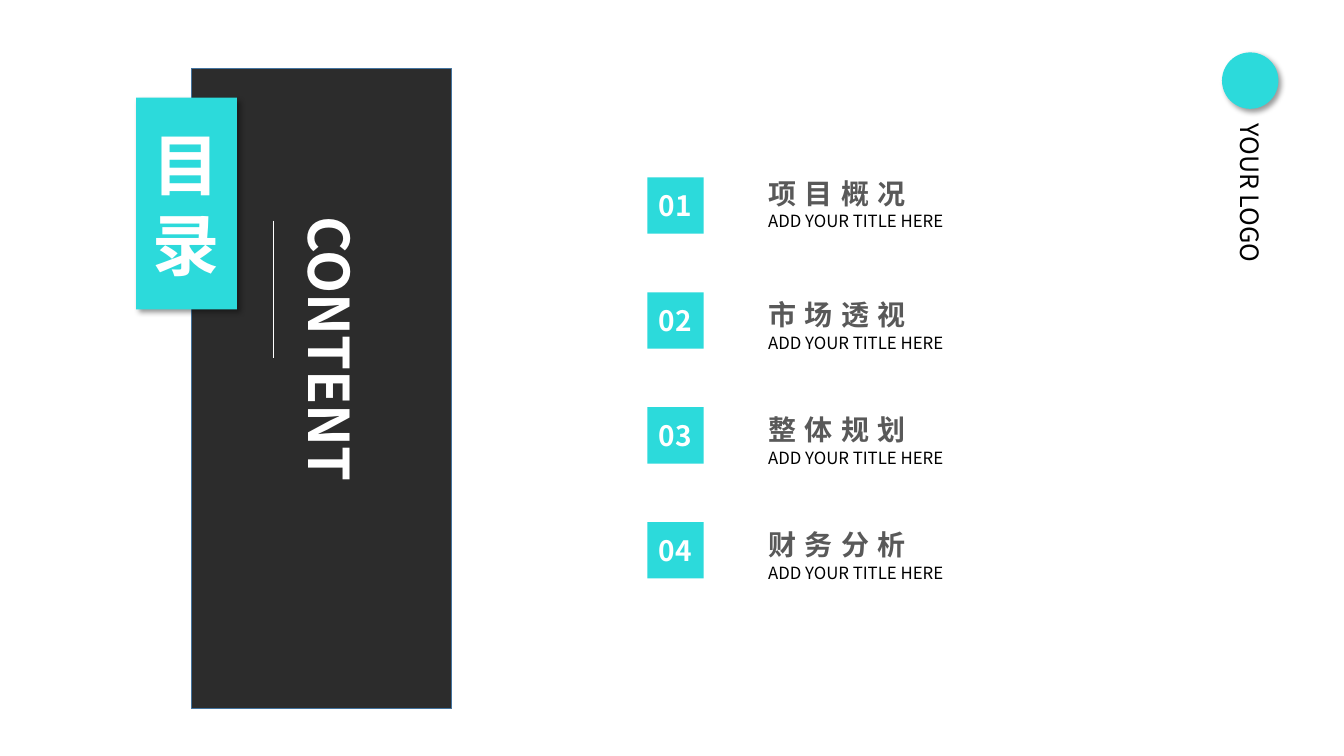
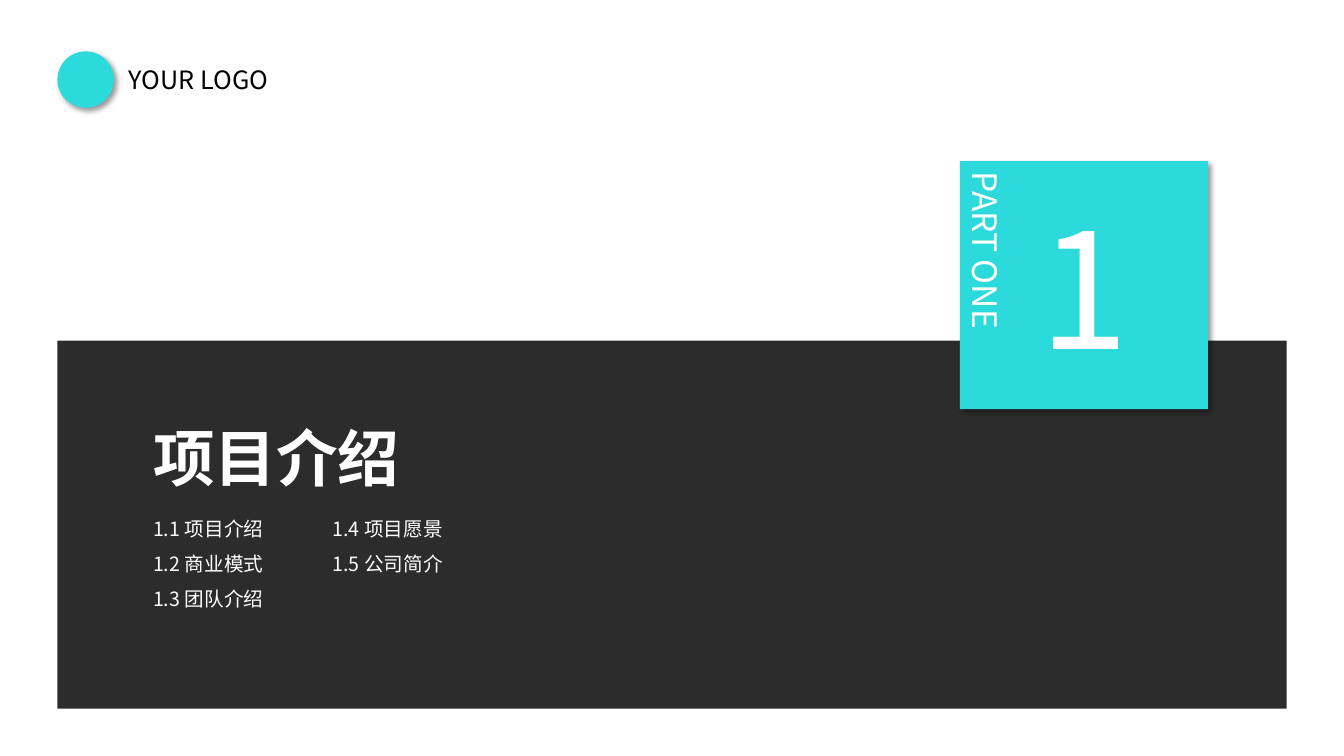
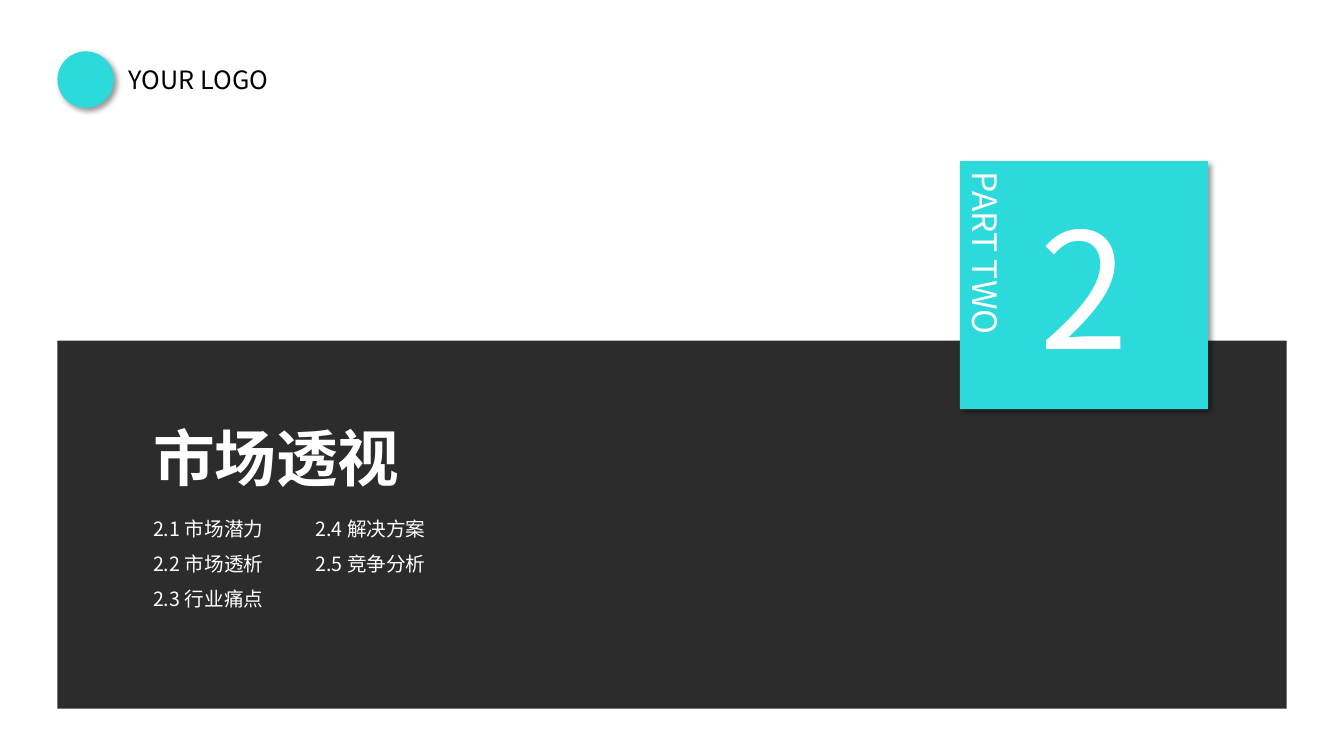
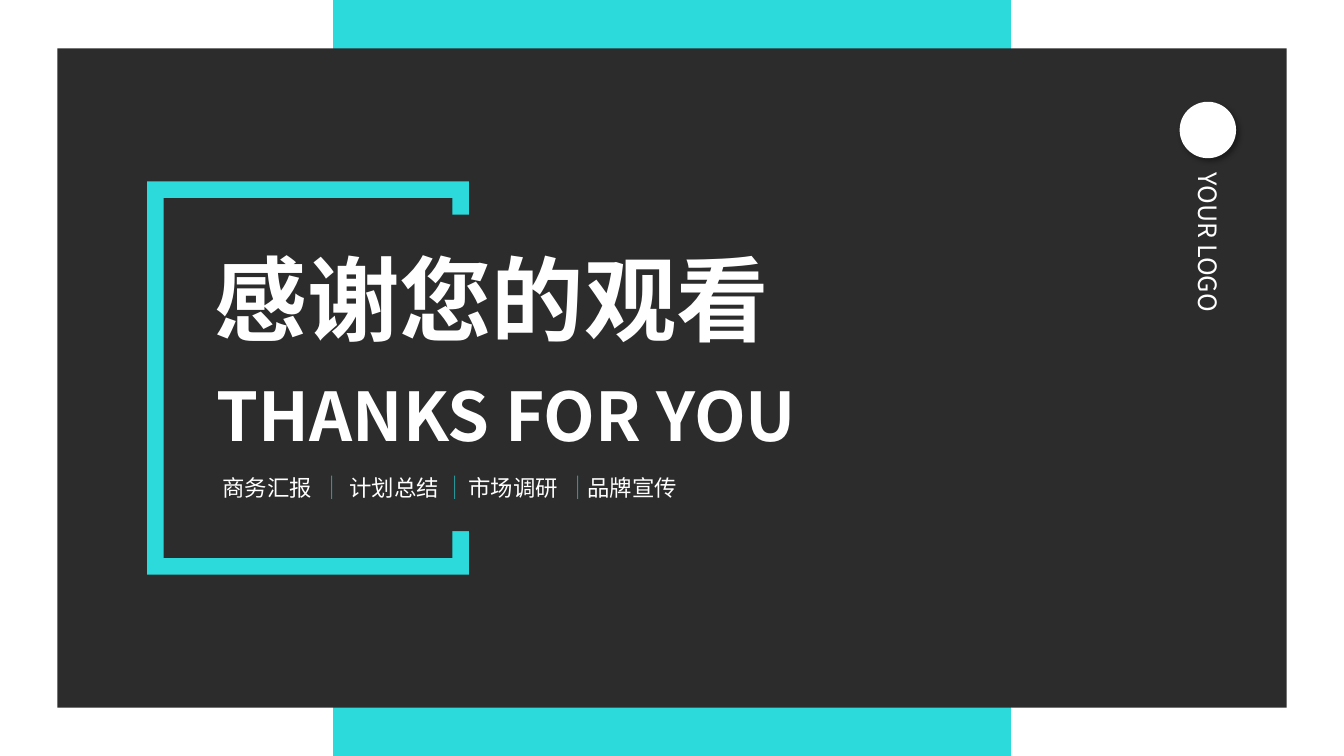
import dataclasses
import typing

import lxml.etree
import pptx
import pptx.dml.color
import pptx.enum.shapes
import pptx.enum.text
import pptx.oxml.ns
import pptx.shapes.autoshape
import pptx.slide
import pptx.text.text
import pptx.util

PX = 9144
FONT = "Noto Sans CJK SC"
TEAL = "2CDADB"
DARK = "2C2C2C"
WHITE = "FFFFFF"
BLACK = "000000"
GRAY = "595959"
BLUE = "43739E"
KIND = pptx.enum.shapes.MSO_SHAPE
FIT = pptx.enum.text.MSO_AUTO_SIZE.SHAPE_TO_FIT_TEXT


@dataclasses.dataclass(frozen=True)
class Box:
    left: int
    top: int
    width: int
    height: int

    def emu(self) -> list[int]:
        return [n * PX for n in dataclasses.astuple(self)]


@dataclasses.dataclass(frozen=True)
class Style:
    size: int
    color: str = WHITE
    bold: bool = False
    gap: int = 0


@dataclasses.dataclass(frozen=True)
class Row:
    mark: str
    title: str
    top: int
    drop: int


@dataclasses.dataclass(frozen=True)
class Part:
    digit: str
    label: str
    title: str
    first: list[str]
    second: list[str]
    left: int


HEAD = Style(44, bold=True)
LIST = Style(14)
ROWS = [
    Row("01", "项目概况", 170, 34),
    Row("02", "市场透视", 290, 35),
    Row("03", "整体规划", 404, 35),
    Row("04", "财务分析", 518, 35),
]
PARTS = [
    Part("1", "PART ONE", "项目介绍", ["1.1 项目介绍", "1.2 商业模式", "1.3 团队介绍"],
         ["1.4 项目愿景", "1.5 公司简介"], 320),
    Part("2", "PART TWO", "市场透视", ["2.1 市场潜力", "2.2 市场透析", "2.3 行业痛点"],
         ["2.4 解决方案", "2.5 竞争分析"], 303),
]
TOPICS = [("商务汇报", 211), ("计划总结", 337), ("市场调研", 455), ("品牌宣传", 573)]


def paint(code: str) -> pptx.dml.color.RGBColor:
    return pptx.dml.color.RGBColor.from_string(code)


def node(root: typing.Any, tag: str, **attrs: str) -> typing.Any:
    return lxml.etree.SubElement(root, pptx.oxml.ns.qn(tag), attrs)


def write(frame: pptx.text.text.TextFrame, lines: list[str], style: Style,
          center: bool = False, space: float | None = None) -> None:
    for i, line in enumerate(lines):
        para = frame.add_paragraph() if i else frame.paragraphs[0]
        align = pptx.enum.text.PP_ALIGN
        para.alignment = align.CENTER if center else align.LEFT
        if space:
            para.line_spacing = space
        run = para.add_run()
        run.text = line
        font = run.font
        font.name = FONT
        font.size = pptx.util.Pt(style.size)
        font.bold = style.bold
        font.color.rgb = paint(style.color)
        props = run._r.get_or_add_rPr()
        node(props, "a:ea", typeface=FONT)
        if style.gap:
            props.set("spc", str(style.gap * 100))


def block(slide: pptx.slide.Slide, box: Box, fill: str, kind: KIND = KIND.RECTANGLE,
          edge: str | None = None, shade: bool = False) -> pptx.shapes.autoshape.Shape:
    shape = slide.shapes.add_shape(kind, *box.emu())
    shape.fill.solid()
    shape.fill.fore_color.rgb = paint(fill)
    if edge:
        shape.line.color.rgb = paint(edge)
        shape.line.width = pptx.util.Pt(1)
    else:
        shape.line.fill.background()
    shape.shadow.inherit = False
    if shade:
        glow = node(shape._element.spPr.find(pptx.oxml.ns.qn("a:effectLst")), "a:outerShdw",
                    blurRad="50800", dist="38100", dir="2700000", algn="tl", rotWithShape="0")
        node(node(glow, "a:srgbClr", val=BLACK), "a:alpha", val="40000")
    return shape


def badge(slide: pptx.slide.Slide, box: Box, lines: list[str], style: Style,
          shade: bool = False) -> None:
    frame = block(slide, box, TEAL, shade=shade).text_frame
    frame.word_wrap = True
    frame.vertical_anchor = pptx.enum.text.MSO_ANCHOR.MIDDLE
    write(frame, lines, style, center=True)


def label(slide: pptx.slide.Slide, box: Box, lines: list[str], style: Style, turn: int = 0,
          wrap: bool = True, space: float | None = None, flush: bool = False) -> None:
    shape = slide.shapes.add_textbox(*box.emu())
    shape.rotation = turn
    frame = shape.text_frame
    frame.word_wrap = wrap
    frame.auto_size = FIT
    if flush:
        frame.margin_left = frame.margin_right = 0
        frame.margin_top = frame.margin_bottom = 0
    write(frame, lines, style, space=space)


def rule(slide: pptx.slide.Slide, left: int, top: int, end: int, color: str,
         width: float, alpha: int = 100) -> None:
    ends = [n * PX for n in (left, top, left, end)]
    line = slide.shapes.add_connector(pptx.enum.shapes.MSO_CONNECTOR.STRAIGHT, *ends)
    line.line.color.rgb = paint(color)
    line.line.width = pptx.util.Pt(width)
    props = line._element.spPr
    if alpha < 100:
        tint = props.find(".//" + pptx.oxml.ns.qn("a:srgbClr"))
        node(tint, "a:alpha", val=str(alpha * 1000))
    node(props, "a:effectLst")


def brand(slide: pptx.slide.Slide, left: int, top: int, fill: str, ink: str,
          down: bool = True) -> None:
    block(slide, Box(left, top, 56, 56), fill, KIND.OVAL, shade=True)
    box = Box(left - 76, top + 145, 209, 40) if down else Box(left + 61, top + 8, 209, 40)
    label(slide, box, ["YOUR LOGO"], Style(18, ink), 90 if down else 0)


def index(slide: pptx.slide.Slide) -> None:
    block(slide, Box(190, 68, 258, 635), DARK, edge=BLUE)
    badge(slide, Box(135, 97, 100, 210), ["目", "录"], Style(48, bold=True), shade=True)
    for i, row in enumerate(ROWS):
        badge(slide, Box(642, 176 + 114 * i, 56, 56), [row.mark], Style(20, bold=True))
        label(slide, Box(752, row.top, 351, 44), [row.title], Style(20, GRAY, True, 6))
        label(slide, Box(752, row.top + row.drop, 373, 30), ["ADD YOUR TITLE HERE"],
              Style(12, BLACK))
    rule(slide, 271, 219, 355, WHITE, 0.5)
    label(slide, Box(178, 316, 300, 77), ["CONTENT"], Style(40, bold=True), 90, wrap=False)
    brand(slide, 1212, 52, TEAL, BLACK)


def cover(slide: pptx.slide.Slide, part: Part) -> None:
    block(slide, Box(57, 338, 1219, 365), DARK)
    badge(slide, Box(952, 160, 246, 246), [part.digit], Style(115), shade=True)
    label(slide, Box(819, 294, 317, 50), [part.label], Style(24), 90)
    label(slide, Box(142, 412, 428, 84), [part.title], HEAD)
    label(slide, Box(142, 496, 185, 222), part.first, LIST, space=1.5)
    label(slide, Box(part.left, 496, 185, 187), part.second, LIST, space=1.5)
    brand(slide, 57, 51, TEAL, BLACK, down=False)


def close(slide: pptx.slide.Slide) -> None:
    block(slide, Box(331, 0, 671, 750), TEAL, edge=TEAL)
    block(slide, Box(57, 48, 1219, 654), DARK)
    frame = block(slide, Box(146, 180, 319, 390), TEAL, KIND.FRAME)
    frame.adjustments[0] = 0.051
    block(slide, Box(197, 213, 839, 314), DARK)
    label(slide, Box(203, 235, 799, 121), ["感谢您的观看"], Style(66, bold=True))
    label(slide, Box(215, 371, 648, 81), ["THANKS FOR YOU"], Style(48, bold=True), flush=True)
    for i in range(3):
        rule(slide, 329 + 122 * i, 472, 495, TEAL, 0.75, 60)
    for text, left in TOPICS:
        label(slide, Box(left, 465, 110, 37), [text], Style(16), wrap=False)
    brand(slide, 1170, 101, WHITE, WHITE)


def main() -> None:
    deck = pptx.Presentation()
    deck.slide_width = 1333 * PX
    deck.slide_height = 750 * PX
    blank = deck.slide_layouts[6]
    index(deck.slides.add_slide(blank))
    for part in PARTS:
        cover(deck.slides.add_slide(blank), part)
    close(deck.slides.add_slide(blank))
    deck.save("out.pptx")


if __name__ == "__main__":
    main()
